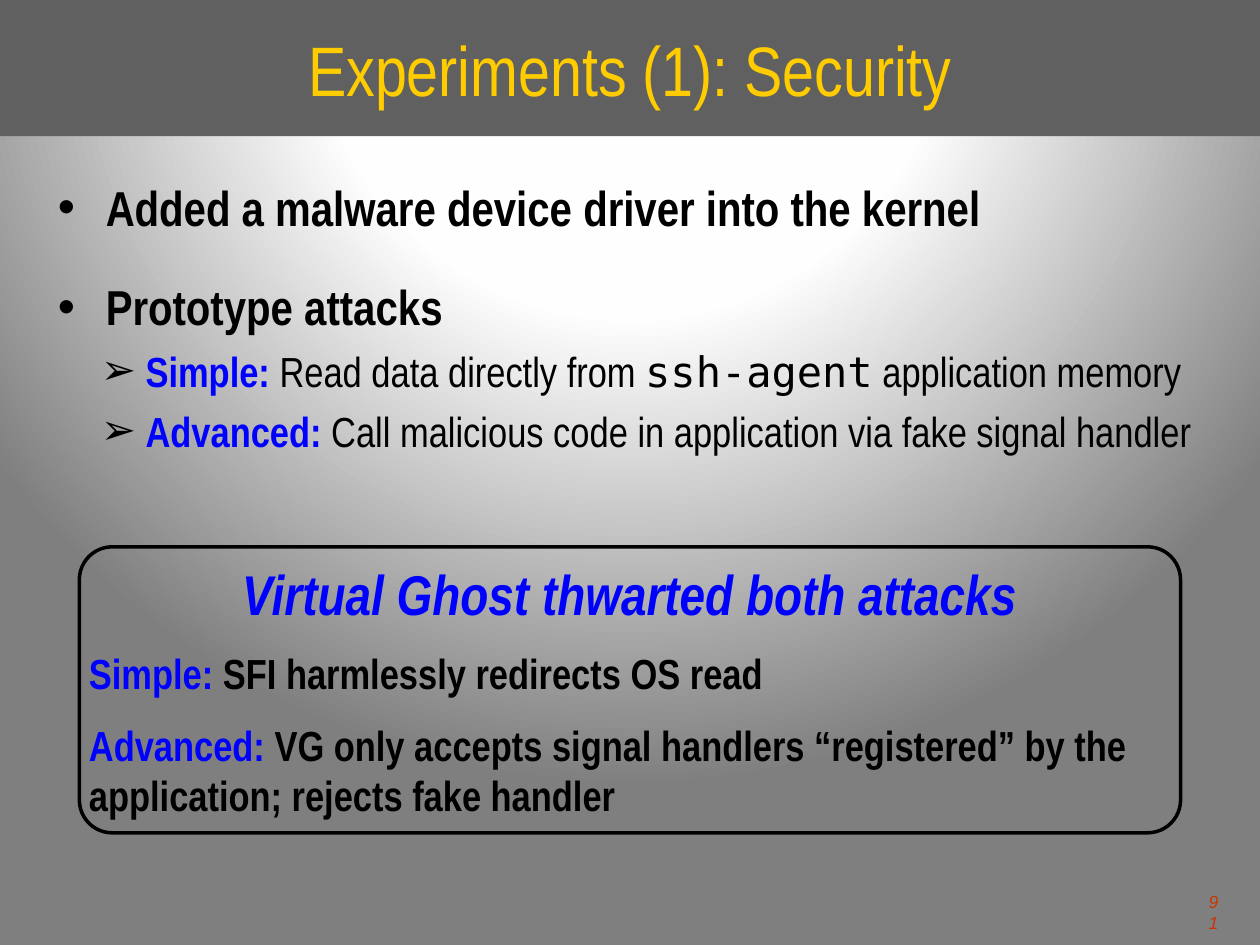
from lxml import etree
from pptx import Presentation
from pptx.dml.color import RGBColor
from pptx.enum.shapes import MSO_SHAPE
from pptx.enum.text import MSO_ANCHOR, MSO_AUTO_SIZE, PP_ALIGN
from pptx.oxml import parse_xml
from pptx.oxml.ns import nsdecls, qn
from pptx.util import Inches, Pt

ROUNDED = MSO_SHAPE.ROUNDED_RECTANGLE
MIDDLE = MSO_ANCHOR.MIDDLE
NO_AUTOFIT = MSO_AUTO_SIZE.NONE
LEFT, CENTER, RIGHT = PP_ALIGN.LEFT, PP_ALIGN.CENTER, PP_ALIGN.RIGHT

COLORS = {
    "banner": "606060",
    "title": "FFCC00",
    "text": "000000",
    "accent": "0000FF",
    "number": "CC3300",
}
BACKGROUND_STOPS = [(0, "FFFFFF"), (40, "FEFEFE"), (100, "7F7F7F")]
NARROW, MONO = "Arial Narrow", "DejaVu Sans Mono"

TITLE = {"name": NARROW, "size": Pt(40), "color": "title"}
POINT = {"name": NARROW, "size": Pt(28), "bold": True, "color": "text"}
DETAIL = {"name": NARROW, "size": Pt(24), "bold": False, "color": "text"}
CODE = {**DETAIL, "name": MONO}
STRONG = {**DETAIL, "bold": True}
LABEL = {**STRONG, "color": "accent"}
VERDICT = {**LABEL, "size": Pt(32), "italic": True}
NUMBER = {"name": "Arial", "size": Pt(10), "italic": True, "color": "number"}

# Bullet character, left margin and hanging indent in inches, space before
BULLETS = [("•", 0.38, -0.38, Pt(23)), ("➢", 0.55, -0.21, Pt(5.5))]

POINTS = [
    (0, [("Added a malware device driver into the kernel", POINT)]),
    (0, [("Prototype attacks", POINT)]),
    (1, [(" ", DETAIL), ("Simple: ", LABEL),
         ("Read data directly from ", DETAIL), ("ssh-agent", CODE),
         (" application memory", DETAIL)]),
    (1, [(" ", DETAIL), ("Advanced: ", LABEL),
         ("Call malicious code in application via fake signal handler", DETAIL)]),
]
RESULTS = [
    (CENTER, [("Virtual Ghost thwarted both attacks", VERDICT)]),
    (LEFT, [("Simple: ", LABEL), ("SFI harmlessly redirects OS read", STRONG)]),
    (LEFT, [("Advanced: ", LABEL),
            ("VG only accepts signal handlers “registered” by the "
             "application; rejects fake handler", STRONG)]),
]


def rgb(name):
    return RGBColor.from_string(COLORS[name])


def place(shape, left, top, width, height):
    shape.left, shape.top = Inches(left), Inches(top)
    shape.width, shape.height = Inches(width), Inches(height)


def set_frame(shape, margin=None, **settings):
    frame = shape.text_frame
    values = {"word_wrap": True, "auto_size": NO_AUTOFIT, **settings}
    if margin is not None:
        for side in ("left", "top", "right", "bottom"):
            values[f"margin_{side}"] = Inches(margin)
    for attribute, value in values.items():
        setattr(frame, attribute, value)
    return frame


def add_runs(paragraph, runs):
    for text, style in runs:
        run = paragraph.add_run()
        run.text = text
        for attribute, value in style.items():
            if attribute == "color":
                run.font.color.rgb = rgb(value)
            else:
                setattr(run.font, attribute, value)


def each_paragraph(frame, items):
    """Yield a paragraph of the frame with each item, adding as needed."""
    for index, item in enumerate(items):
        yield (frame.add_paragraph() if index else frame.paragraphs[0]), item


def set_bullet(paragraph, character, margin, indent):
    properties = paragraph._p.get_or_add_pPr()
    properties.set("marL", str(Inches(margin)))
    properties.set("indent", str(Inches(indent)))
    etree.SubElement(properties, qn("a:buFont")).set("typeface", "Arial")
    etree.SubElement(properties, qn("a:buChar")).set("char", character)


def set_background(slide):
    """Fill the slide with a circular gradient centred above its top edge."""
    stops = "".join(
        f'<a:gs pos="{position * 1000}"><a:srgbClr val="{color}"/></a:gs>'
        for position, color in BACKGROUND_STOPS)
    background = parse_xml(
        f'<p:bg {nsdecls("p", "a")}><p:bgPr><a:gradFill rotWithShape="1">'
        f'<a:gsLst>{stops}</a:gsLst><a:path path="circle">'
        '<a:fillToRect l="50000" t="-80000" r="50000" b="180000"/></a:path>'
        '</a:gradFill><a:effectLst/></p:bgPr></p:bg>')
    slide.element.cSld.insert(0, background)


def fill_title(slide):
    title = slide.shapes.title
    place(title, 0, 0, 10, 1.08)
    title.fill.solid()
    title.fill.fore_color.rgb = rgb("banner")
    paragraph = set_frame(title, vertical_anchor=MIDDLE).paragraphs[0]
    paragraph.alignment = CENTER
    add_runs(paragraph, [("Experiments (1): Security", TITLE)])


def fill_body(slide):
    body = slide.placeholders[1]
    place(body, 0.36, 1.36, 9.47, 4.45)
    frame = set_frame(body)
    for paragraph, (level, runs) in each_paragraph(frame, POINTS):
        character, margin, indent, space = BULLETS[level]
        paragraph.level = level
        first = paragraph._p is frame.paragraphs[0]._p
        paragraph.space_before = Pt(0) if first else space
        set_bullet(paragraph, character, margin, indent)
        add_runs(paragraph, runs)


def add_results_box(slide):
    box = slide.shapes.add_shape(ROUNDED, 0, 0, 0, 0)
    place(box, 0.63, 4.34, 8.74, 2.27)
    box.adjustments[0] = 0.115
    box.shadow.inherit = False
    box.fill.background()
    box.line.color.rgb = rgb("text")
    box.line.width = Pt(2)
    frame = set_frame(box, margin=0, vertical_anchor=MIDDLE)
    for paragraph, (alignment, runs) in each_paragraph(frame, RESULTS):
        paragraph.alignment = alignment
        if alignment == LEFT:
            paragraph.space_before = Pt(12)
        add_runs(paragraph, runs)


def add_slide_number(slide):
    box = slide.shapes.add_textbox(0, 0, 0, 0)
    place(box, 9.56, 7.07, 0.11, 0.34)
    paragraph = set_frame(box, margin=0).paragraphs[0]
    paragraph.alignment = RIGHT
    add_runs(paragraph, [("91", NUMBER)])


def main():
    presentation = Presentation()
    presentation.slide_width = Inches(10)
    presentation.slide_height = Inches(7.5)
    slide = presentation.slides.add_slide(presentation.slide_layouts[1])
    set_background(slide)
    fill_title(slide)
    fill_body(slide)
    add_results_box(slide)
    add_slide_number(slide)
    presentation.save("out.pptx")


if __name__ == "__main__":
    main()
